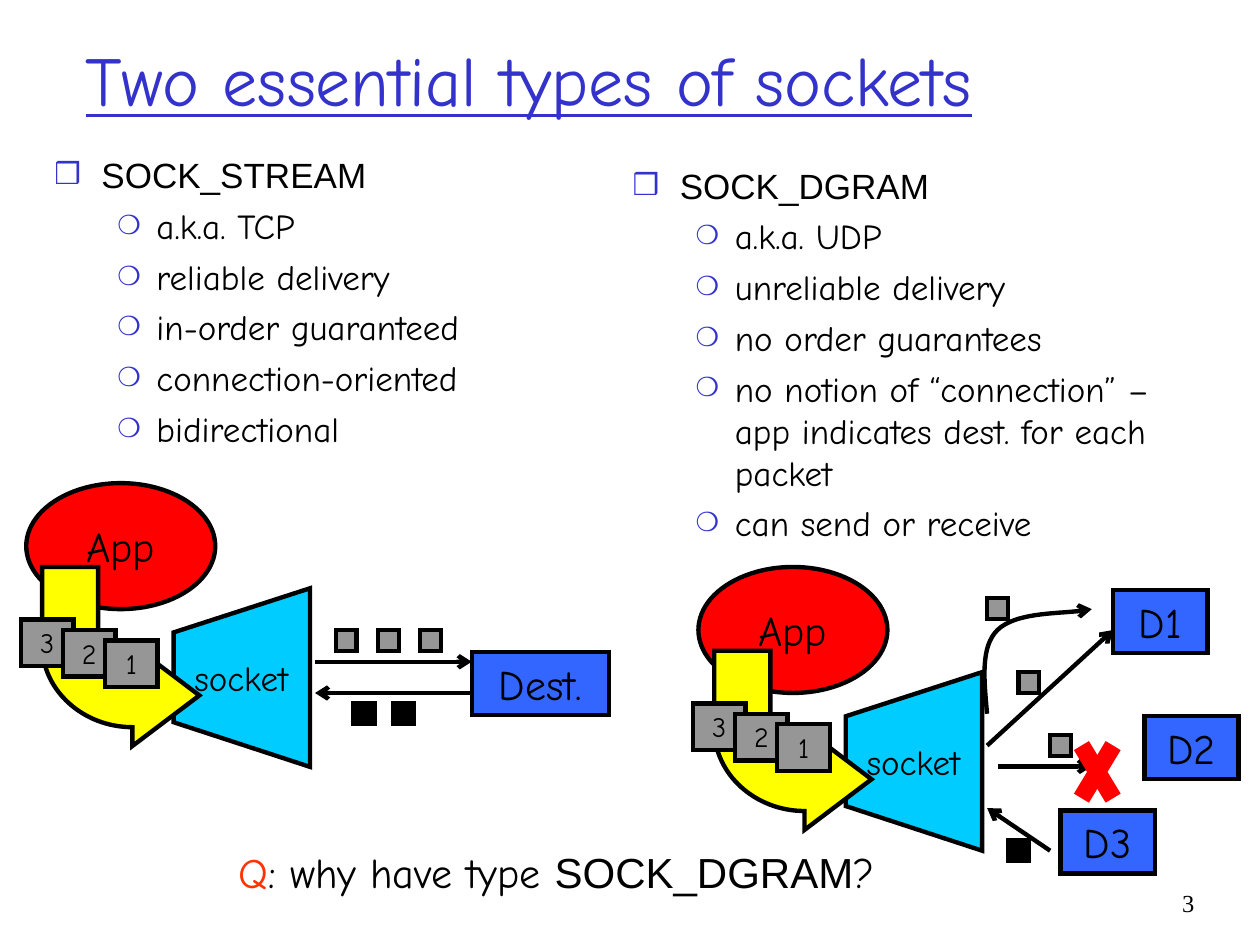
from lxml import etree
from pptx import Presentation
from pptx.dml.color import RGBColor
from pptx.enum import shapes, text
from pptx.oxml.ns import qn
from pptx.util import Cm, Pt

COMIC = "Comic Neue"
BLACK, BLUE, GREY, RED = "000000", "3333CC", "969696", "FF0000"
RECT = shapes.MSO_SHAPE.RECTANGLE
hue = RGBColor.from_string


def ink(shp, fill=None, label="", size=24, anchor=text.MSO_ANCHOR.MIDDLE, edge=True):
    """Fill and outline a shape and centre its label."""
    if fill:
        shp.fill.solid()
        shp.fill.fore_color.rgb = hue(fill)
    else:
        shp.fill.background()
    if edge:
        shp.shadow.inherit = False
        shp.line.color.rgb = hue(BLACK)
        shp.line.width = Pt(2.5)
        etree.SubElement(shp.element.spPr.find(qn("a:ln")), qn("a:miter"), lim="800000")
    if label:
        frame = shp.text_frame
        frame.word_wrap = True
        frame.vertical_anchor = anchor
        par = frame.paragraphs[0]
        par.alignment = text.PP_ALIGN.CENTER
        par.space_before = Pt(size * 0.625)
        run = par.add_run()
        run.text = label
        run.font.size, run.font.name = Pt(size), COMIC
        run.font.color.rgb = hue(BLACK)


def trace(pts, curves=(), dx=0, dy=0, close=True):
    """Outline through points; each index in curves starts a three-point Bézier."""
    spots = [(Cm(x + dx), Cm(y + dy)) for x, y in pts]
    pen = tree.build_freeform(*spots[0], scale=1.0)
    pen.add_line_segments(spots[1:], close=close)
    shp = pen.convert_to_shape()
    steps = list(shp.element.iter(qn("a:lnTo")))
    for i in curves:
        first, *rest = steps[i - 1:i + 2]
        first.tag = qn("a:cubicBezTo")
        for step in rest:
            first.append(step[0])
            step.getparent().remove(step)
    return shp


deck = Presentation()
deck.slide_width, deck.slide_height = Cm(25.4), Cm(19.05)
slide = deck.slides.add_slide(deck.slide_layouts[3])
tree = slide.shapes

# Title
head = tree.title
head.left, head.top, head.width, head.height = Cm(1.47), Cm(0), Cm(21.59), Cm(3.18)
head.text_frame.auto_size = text.MSO_AUTO_SIZE.NONE
head.text_frame.vertical_anchor = text.MSO_ANCHOR.MIDDLE
par = head.text_frame.paragraphs[0]
par.alignment = text.PP_ALIGN.LEFT
run = par.add_run()
run.text = "Two essential types of sockets"
run.font.size, run.font.name, run.font.underline = Pt(40), COMIC, True
run.font.color.rgb = hue(BLUE)

# Two lists
lists = [
    (1, 0.84, 2.97, 10.59, ["SOCK_STREAM", "a.k.a. TCP", "reliable delivery",
     "in-order guaranteed", "connection-oriented", "bidirectional"]),
    (2, 12.5, 3.18, 12.07, ["SOCK_DGRAM", "a.k.a. UDP", "unreliable delivery",
     "no order guarantees",
     "no notion of “connection” – app indicates dest. for each packet",
     "can send or receive"]),
]
for idx, x, y, w, items in lists:
    body = slide.placeholders[idx]
    body.left, body.top, body.width, body.height = Cm(x), Cm(y), Cm(w), Cm(12.9)
    frame = body.text_frame
    frame.auto_size = text.MSO_AUTO_SIZE.NONE
    for i, item in enumerate(items):
        par = frame.add_paragraph() if i else frame.paragraphs[0]
        par.level = 1 if i else 0
        par.space_before = Pt(5)
        run = par.add_run()
        run.text = item
        run.font.size, run.font.name = Pt(20), COMIC if i else "Arial"
        run.font.color.rgb = hue(BLACK)
        left, hang, mark, pct = (2.06, 0.79, "❍", 75) if i else (0.95, 0.95, "❒", 85)
        prop = par._p.get_or_add_pPr()
        prop.set("marL", str(Cm(left)))
        prop.set("indent", str(-Cm(hang)))
        tint = etree.SubElement(prop, qn("a:buClr"))
        etree.SubElement(tint, qn("a:srgbClr"), val=BLUE)
        etree.SubElement(prop, qn("a:buSzPct"), val=str(pct * 1000))
        etree.SubElement(prop, qn("a:buChar"), char=mark)

# App, socket, pipe and numbered packets, once per socket type
for dx, dy in [(0, 0), (13.55, 1.69)]:
    app = tree.add_shape(shapes.MSO_SHAPE.OVAL, Cm(0.53 + dx), Cm(9.74 + dy), Cm(3.81), Cm(2.54))
    ink(app, RED)
    name = tree.add_textbox(Cm(0.42 + dx), Cm(10.37 + dy), Cm(4.02), Cm(1.27))
    ink(name, None, "App", 24, text.MSO_ANCHOR.TOP, False)
    sock = [(6.25, 11.86), (3.5, 12.75), (3.5, 14.56), (6.25, 15.46)]
    ink(trace(sock, (), dx, dy), "00CCFF")
    name = tree.add_textbox(Cm(2.54 + dx), Cm(13.1 + dy), Cm(4.65), Cm(1.11))
    ink(name, None, "socket", 20, edge=False)
    pipe = [(4.02, 14.02), (2.67, 15.04), (2.67, 14.66),
            (1.68, 14.66), (0.85, 13.92), (0.85, 13),
            (0.85, 11.43), (1.98, 11.43), (1.98, 13),
            (1.98, 13.2), (2.28, 13.39), (2.67, 13.39), (2.67, 13)]
    ink(trace(pipe, (3, 9), dx, dy), "FFFF00")
    for i, num in enumerate("321"):
        card = tree.add_shape(RECT, Cm(0.42 + 0.85 * i + dx), Cm(12.49 + 0.21 * i + dy),
                              Cm(1.06), Cm(0.94))
        ink(card, GREY, num, 16, text.MSO_ANCHOR.TOP)

# Outgoing packets
for x, y in [(6.77, 12.7), (7.62, 12.7), (8.47, 12.7),
             (19.9, 12.06), (20.53, 13.55), (21.17, 14.82)]:
    ink(tree.add_shape(RECT, Cm(x), Cm(y), Cm(0.42), Cm(0.42)), GREY)

# Destinations
for label, x, y, w in [("Dest.", 9.51, 13.15, 2.77), ("D1", 22.44, 11.89, 1.9),
                       ("D3", 21.38, 16.34, 1.9), ("D2", 23.07, 14.43, 1.9)]:
    ink(tree.add_shape(RECT, Cm(x), Cm(y), Cm(w), Cm(1.27)), "3366FF", label)

# Curved arrow to D1
route = [(19.9, 14.39), (19.84, 13.72), (19.76, 13.04), (20.11, 12.7),
         (20.46, 12.36), (21.69, 12.36), (22.01, 12.28)]
curve = trace(route, (1, 4), close=False)
ink(curve)
etree.SubElement(curve.element.spPr.find(qn("a:ln")), qn("a:tailEnd"), type="arrow")

# Straight arrows and the red cross
for x1, y1, x2, y2, tint in [
    (6.35, 13.34, 9.51, 13.34, BLACK), (9.51, 13.97, 6.35, 13.97, BLACK),
    (19.9, 15.03, 22.44, 12.7, BLACK), (20.11, 15.45, 22.01, 15.45, BLACK),
    (21.8, 15.03, 22.44, 16.09, RED), (22.44, 15.03, 21.8, 16.09, RED),
    (21.17, 17.15, 19.9, 16.29, BLACK),
]:
    link = tree.add_connector(shapes.MSO_CONNECTOR.STRAIGHT, Cm(x1), Cm(y1), Cm(x2), Cm(y2))
    link.line.color.rgb = hue(tint)
    link.line.width = Pt(10 if tint == RED else 2.5)
    prop = link.element.spPr
    if tint == BLACK:
        etree.SubElement(prop.find(qn("a:ln")), qn("a:tailEnd"), type="arrow")
    etree.SubElement(prop, qn("a:effectLst"))

# Incoming packets
for x, y in [(7.13, 14.18), (7.93, 14.18), (20.32, 16.93)]:
    ink(tree.add_shape(RECT, Cm(x), Cm(y), Cm(0.42), Cm(0.42)), BLACK)

# Question and page number
notes = [
    (4.02, 16.93, 14.4, text.PP_ALIGN.CENTER, 24, 15,
     [("Q", COMIC, "FF3300"), (": why have type ", COMIC, BLACK),
      ("SOCK_DGRAM", "Arial", BLACK), ("?", COMIC, BLACK)]),
    (23.06, 17.78, 1.27, text.PP_ALIGN.RIGHT, 14, 0, [("3", "Times New Roman", BLACK)]),
]
for x, y, w, align, size, gap, runs in notes:
    box = tree.add_textbox(Cm(x), Cm(y), Cm(w), Cm(1.27))
    box.text_frame.word_wrap = True
    par = box.text_frame.paragraphs[0]
    par.alignment, par.space_before = align, Pt(gap)
    for words, font, tint in runs:
        run = par.add_run()
        run.text = words
        run.font.size, run.font.name = Pt(size), font
        run.font.color.rgb = hue(tint)

deck.save("out.pptx")
